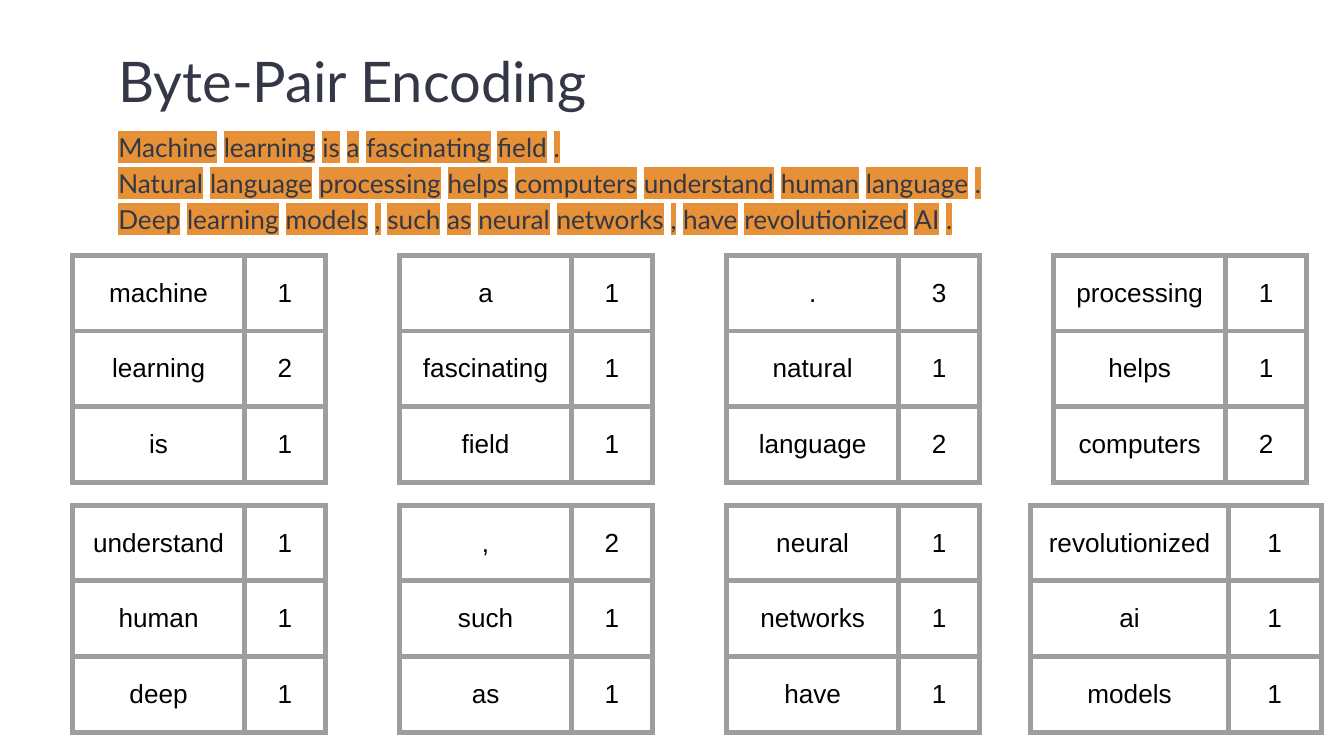
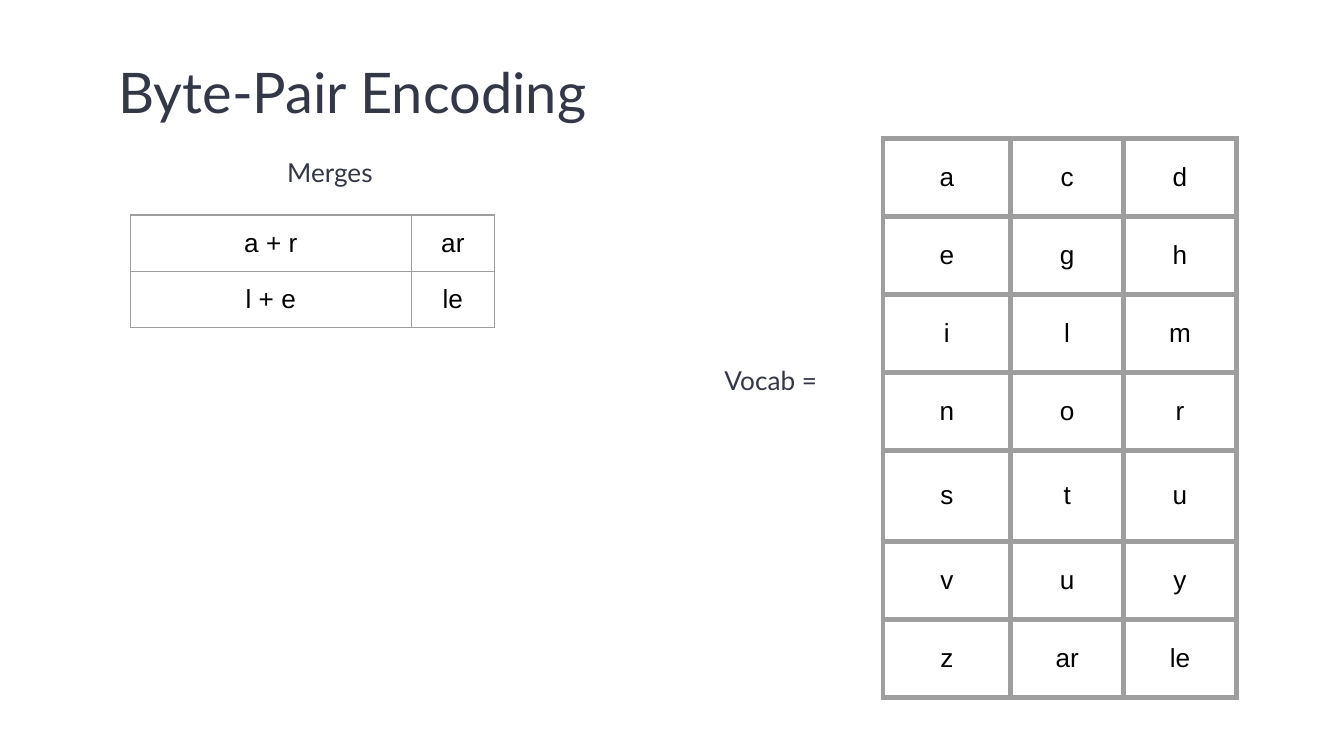
"""Build two slides that explain byte-pair encoding with word counts, merges and a vocabulary."""
from lxml.etree import SubElement
from pptx import Presentation
from pptx.dml.color import RGBColor
from pptx.enum.text import MSO_ANCHOR as Anchor, MSO_AUTO_SIZE as AutoSize, PP_ALIGN as Align
from pptx.oxml import parse_xml
from pptx.oxml.ns import nsdecls, qn
from pptx.util import Inches, Pt

hex_color = RGBColor.from_string
INK, BLACK, BORDER, HIGHLIGHT = "333746", "000000", "9E9E9E", "E69138"
TITLE = "Byte-Pair Encoding"
INSET = Inches(0.1)


def write_text(box, place, lines, size=14, align=Align.LEFT, anchor=Anchor.TOP, highlight=None):
    """Place a placeholder and fill it, optionally highlighting every word."""
    box.left, box.top, box.width, box.height = map(Inches, place)
    frame = box.text_frame
    frame.text = "\n".join(lines)
    frame.word_wrap, frame.auto_size, frame.vertical_anchor = True, AutoSize.NONE, anchor
    frame.margin_left = frame.margin_right = frame.margin_top = frame.margin_bottom = INSET
    for para, line in zip(frame.paragraphs, lines):
        properties = para._p.get_or_add_pPr()
        properties.set("marL", "0")
        properties.set("indent", "0")
        SubElement(properties, qn("a:buNone"))
        para.alignment, para.line_spacing = align, 1.15
        para.space_before = para.space_after = Pt(0)
        if highlight:
            para.clear()
            for index, word in enumerate(line.split()):
                if index:
                    para.add_run().text = " "
                para.add_run().text = word
        for span in para.runs:
            span.font.name, span.font.size = "Lato", Pt(size)
            span.font.color.rgb = hex_color(INK)
            if highlight and span.text != " ":
                span._r.rPr.find(qn("a:solidFill")).addnext(parse_xml(
                    f'<a:highlight {nsdecls("a")}><a:srgbClr val="{highlight}"/></a:highlight>'))


def add_grid(page, left, top, widths, heights, rows, border=3):
    """Add a table of centred text with the same border round every cell."""
    table = page.shapes.add_table(len(rows), len(widths), Inches(left), Inches(top),
                                  Inches(sum(widths)), Inches(sum(heights))).table
    table.first_row = table.horz_banding = False
    for column, width in zip(table.columns, widths):
        column.width = Inches(width)
    for row, height, texts in zip(table.rows, heights, rows):
        row.height = Inches(height)
        for cell, text in zip(row.cells, texts):
            cell.text = text
            cell.vertical_anchor = Anchor.MIDDLE
            cell.margin_left = cell.margin_right = cell.margin_top = cell.margin_bottom = INSET
            para = cell.text_frame.paragraphs[0]
            para.alignment = Align.CENTER
            font = para.runs[0].font
            font.name, font.size = "Arial", Pt(14)
            font.color.rgb = hex_color(BLACK)
            properties = cell._tc.get_or_add_tcPr()
            for side in ("lnL", "lnR", "lnT", "lnB"):
                properties.append(parse_xml(
                    f'<a:{side} {nsdecls("a")} w="{Pt(border)}"><a:solidFill>'
                    f'<a:srgbClr val="{BORDER}"/></a:solidFill></a:{side}>'))
            cell.fill.background()


deck = Presentation()
deck.slide_width = Inches(10)
deck.slide_height = deck.slide_width * 9 // 16

page = deck.slides.add_slide(deck.slide_layouts[1])
write_text(page.shapes.title, (0.78, 0.17, 8.3, 0.77), [TITLE], size=30)
sentences = [
    "Machine learning is a fascinating field .",
    "Natural language processing helps computers understand human language .",
    "Deep learning models , such as neural networks , have revolutionized AI .",
]
corpus = page.placeholders[1]
write_text(corpus, (0.78, 0.84, 7.72, 0.98), sentences, highlight=HIGHLIGHT)
corpus.text_frame.auto_size = AutoSize.SHAPE_TO_FIT_TEXT

word_counts = [
    ("machine", "1"), ("learning", "2"), ("is", "1"),
    ("a", "1"), ("fascinating", "1"), ("field", "1"),
    (".", "3"), ("natural", "1"), ("language", "2"),
    ("processing", "1"), ("helps", "1"), ("computers", "2"),
    ("understand", "1"), ("human", "1"), ("deep", "1"),
    (",", "2"), ("such", "1"), ("as", "1"),
    ("neural", "1"), ("networks", "1"), ("have", "1"),
    ("revolutionized", "1"), ("ai", "1"), ("models", "1"),
]
for index in range(8):
    band, place = divmod(index, 4)
    left, widths = 0.54 + 7.3 / 3 * place, (1.28, 0.6)
    if index == 7:
        left, widths = 7.67, (1.47, 0.69)
    add_grid(page, left, 1.9 + 1.86 * band, widths, [1.69 / 3] * 3,
             word_counts[3 * index:3 * index + 3])

page = deck.slides.add_slide(deck.slide_layouts[3])
write_text(page.shapes.title, (0.78, 0.25, 8.3, 0.77), [TITLE], size=30)
write_text(page.placeholders[1], (5.29, 2.58, 1.01, 0.46), ["Vocab ="])
write_text(page.placeholders[2], (1.95, 1.03, 1.01, 0.46), ["Merges"],
           align=Align.CENTER, anchor=Anchor.MIDDLE)
vocabulary = "a c d e g h i l m n o r s t u v u y z ar le".split()
add_grid(page, 6.57, 1.03, (0.95, 0.84, 0.84), [0.58] * 4 + [0.68] + [0.58] * 2,
         [vocabulary[start:start + 3] for start in range(0, len(vocabulary), 3)])
add_grid(page, 0.97, 1.6, (2.09, 0.62), [0.42] * 2,
         [("a + r", "ar"), ("l + e", "le")], border=0.75)

deck.save("out.pptx")
